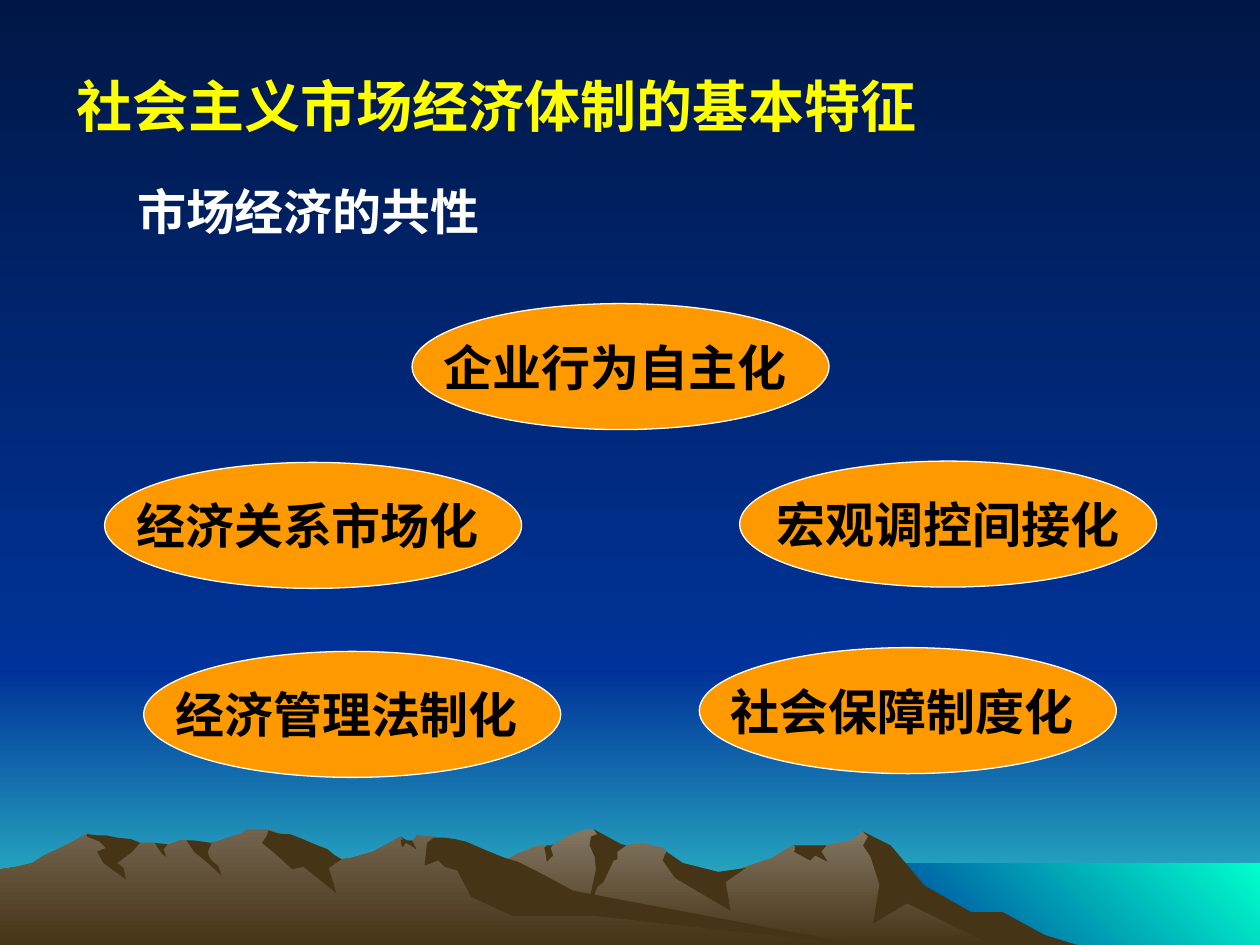
from pptx import Presentation, util as u
from pptx.dml.color import RGBColor
from pptx.enum import shapes, text
from pptx.oxml.ns import qn
from lxml import etree

NIGHT, BLUE, TEAL, MINT = "001746", "003399", "33CCCC", "00FFCC"
EARTH, ROCK, FAR_ROCK = "463416", "72644E", "837763"
YELLOW, WHITE, ORANGE, BLACK = "FFFF00", "FFFFFF", "FF9900", "000000"
LATIN, HAN = "Times New Roman", "Noto Sans CJK SC"

FAR_RANGE = [
    (8.02, 7.4), (7.78, 7.27), (7.64, 7.23), (7.23, 6.98), (7.02, 6.71), (6.85, 6.6),
    (6.76, 6.67), (6.56, 6.71), (6.29, 6.71), (6.13, 6.81), (5.66, 6.97), (5.36, 6.9),
    (5.29, 6.76), (5.26, 6.73), (5.09, 6.69), (4.97, 6.71), (4.86, 6.73), (4.74, 6.61),
    (4.71, 6.58), (4.65, 6.58), (4.5, 6.64), (4.48, 6.65), (4.44, 6.68), (4.38, 6.71),
    (4.3, 6.71), (4.24, 6.72), (4.18, 6.75), (4.12, 6.77), (4.05, 6.81), (3.99, 6.83),
    (3.94, 6.85), (3.55, 6.98), (3.27, 7.09), (2.77, 7.39), (2.58, 7.51), (8.21, 7.51)]
NEAR_RANGE = [
    (6.9, 7.51), (6.67, 7.48), (4.32, 7.12), (3.54, 6.65), (3.31, 6.63), (3.27, 6.68),
    (3.23, 6.68), (3.18, 6.64), (2.96, 6.76), (2.79, 6.81), (2.71, 6.82), (2.6, 6.76),
    (2.36, 6.81), (2.23, 6.63), (2.19, 6.6), (2.12, 6.58), (1.96, 6.58), (1.91, 6.62),
    (1.86, 6.63), (1.78, 6.66), (1.68, 6.69), (1.6, 6.71), (1.48, 6.67), (1.43, 6.67),
    (1.32, 6.71), (1.28, 6.71), (1.23, 6.69), (1.11, 6.69), (0.94, 6.71), (0.68, 6.62),
    (0.56, 6.69), (0.5, 6.72), (0.46, 6.74), (0.35, 6.79), (0.26, 6.85), (0.14, 6.88),
    (0, 6.9), (0, 7.51)]
FAR_SHADOWS = [
    [(7.96, 7.24), (7.71, 7.24), (7.34, 7.03), (7.07, 6.71), (6.85, 6.6), (6.89, 6.64),
     (6.85, 6.71), (6.91, 6.8), (6.98, 7.02), (6.93, 7.33), (7.2, 7.17), (7.92, 7.52),
     (8.58, 7.51), (8.29, 7.42)],
    [(4.71, 6.58), (4.74, 6.62), (4.69, 6.64), (4.68, 6.71), (4.72, 6.8), (4.73, 6.9),
     (4.65, 7.27), (4.74, 7.04), (4.79, 7), (4.87, 6.83), (4.9, 6.82), (4.9, 6.76),
     (4.97, 6.71), (4.93, 6.7)],
    [(5.29, 6.76), (5.28, 6.78), (5.26, 6.83), (5.36, 6.97), (5.8, 7.23), (5.76, 7),
     (5.92, 6.89), (5.7, 6.92), (5.42, 6.85)],
    [(6.5, 6.71), (6.3, 6.71), (6.31, 6.72), (6.31, 6.75), (6.3, 6.76), (6.43, 6.83),
     (6.47, 6.79), (6.57, 6.84), (6.52, 6.76), (6.56, 6.71)],
    [(4.33, 6.77), (4.32, 6.73), (4.34, 6.71), (4.38, 6.71), (4.39, 6.7), (4.37, 6.73),
     (4.39, 6.79), (4.34, 6.84)],
]
NEAR_SHADOWS = [
    [(2.12, 6.63), (2.08, 6.69), (2.19, 6.78), (2.32, 6.9), (2.41, 6.88), (2.67, 7.09),
     (2.61, 6.89), (2.71, 6.82), (2.66, 6.79), (2.6, 6.74), (2.52, 6.71), (2.38, 6.65),
     (2.3, 6.62), (2.24, 6.62), (2.19, 6.61), (2.13, 6.59)],
    [(3.7, 6.68), (3.61, 6.66), (3.54, 6.65), (3.44, 6.65), (3.39, 6.69), (3.37, 6.87),
     (3.48, 6.83), (3.53, 6.88), (3.63, 6.91), (3.74, 7.12), (4.07, 7.27), (4.72, 7.27),
     (6.9, 7.51), (6.83, 7.5), (4.55, 7.07), (4.27, 6.92), (4.11, 6.84), (4.01, 6.81),
     (3.86, 6.75)],
    [(3.18, 6.67), (3.2, 6.66), (3.18, 6.64), (3.23, 6.67), (3.27, 6.67), (3.3, 6.73),
     (3.3, 6.74), (3.26, 6.71), (3.22, 6.69), (3.2, 6.72), (3.19, 6.72)],
    [(1.54, 6.67), (1.61, 6.68), (1.68, 6.69), (1.65, 6.76), (1.66, 6.8), (1.69, 6.84),
     (1.73, 6.87), (1.76, 6.95), (1.65, 6.85), (1.54, 6.76), (1.48, 6.67)],
    [(1.33, 6.7), (1.3, 6.74), (1.32, 6.8), (1.29, 6.78), (1.26, 6.74), (1.23, 6.69)],
    [(1.09, 6.68), (1.11, 6.69), (1.05, 6.76), (0.93, 6.85), (0.98, 6.89), (1, 6.98),
     (0.82, 6.85), (0.77, 6.76), (0.84, 6.73), (0.79, 6.68), (0.69, 6.64), (0.69, 6.62),
     (0.77, 6.63), (0.84, 6.63), (0.94, 6.65), (1.04, 6.66)],
]
FEATURES = [
    ("企业行为自主化 ", 3.27, 2.41),
    ("宏观调控间接化", 5.87, 3.66),
    ("经济关系市场化 ", 0.83, 3.67),
    ("社会保障制度化 ", 5.55, 5.14),
    ("经济管理法制化 ", 1.14, 5.17),
]


def color(value):
    return RGBColor.from_string(value)


class Scene:
    """Holds the slide and the shared style of its landscape and labels."""

    def __init__(self, slide):
        self.slide = slide
        self.label = {"size": u.Pt(28), "bold": True, "name": LATIN}

    def paint(self, fill, colors, angle=270):
        if len(colors) == 1:
            fill.solid()
            fill.fore_color.rgb = color(colors[0])
            return
        fill.gradient()
        fill.gradient_angle = angle
        for stop, value in zip(fill.gradient_stops, colors):
            stop.color.rgb = color(value)

    def backdrop(self, *colors):
        self.paint(self.slide.background.fill, colors)

    def preset(self, kind, box):
        shape = self.slide.shapes.add_shape(kind, *map(u.Inches, box))
        shape.shadow.inherit = False
        return shape

    def band(self, box, *colors, angle=270):
        area = self.preset(shapes.MSO_SHAPE.RECTANGLE, box)
        self.paint(area.fill, colors, angle)
        area.line.fill.background()

    def outline(self, points, *colors):
        start, *rest = [(u.Inches(x), u.Inches(y)) for x, y in points]
        builder = self.slide.shapes.build_freeform(*start)
        builder.add_line_segments(rest, close=True)
        land = builder.convert_to_shape()
        land.shadow.inherit = False
        self.paint(land.fill, colors)
        land.line.fill.background()

    def add_words(self, frame, words, ink, **changes):
        run = frame.paragraphs[0].add_run()
        run.text = words
        for key, value in {**self.label, **changes}.items():
            setattr(run.font, key, value)
        run.font.color.rgb = color(ink)
        etree.SubElement(run.font._element, qn("a:ea"), typeface=HAN)

    def heading(self, words, box, ink, wrap, **changes):
        frame = self.slide.shapes.add_textbox(*map(u.Inches, box)).text_frame
        frame.word_wrap = wrap
        self.add_words(frame, words, ink, **changes)

    def feature(self, words, left, top):
        oval = self.preset(shapes.MSO_SHAPE.OVAL, (left, top, 3.31, 1))
        self.paint(oval.fill, [ORANGE])
        oval.line.color.rgb = color(WHITE)
        oval.line.width = u.Pt(0.75)
        frame = oval.text_frame
        frame.word_wrap = False
        frame.vertical_anchor = text.MSO_ANCHOR.MIDDLE
        frame.paragraphs[0].alignment = text.PP_ALIGN.CENTER
        self.add_words(frame, words, BLACK)


def main():
    deck = Presentation()
    deck.slide_width, deck.slide_height = u.Inches(10), u.Inches(7.5)
    scene = Scene(deck.slides.add_slide(deck.slide_layouts[6]))
    scene.backdrop(NIGHT, BLUE)
    scene.band((0, 5.33, 10, 2.17), BLUE, TEAL)
    scene.band((0, 0, 10, 5.33), NIGHT, BLUE)
    scene.band((6.83, 6.85, 3.17, 0.67), MINT, BLUE, angle=225)
    for ridge, top, shadows in ((FAR_RANGE, FAR_ROCK, FAR_SHADOWS),
                                (NEAR_RANGE, ROCK, NEAR_SHADOWS)):
        scene.outline(ridge, top, EARTH)
        for shadow in shadows:
            scene.outline(shadow, EARTH)
    scene.heading("社会主义市场经济体制的基本特征", (0.51, 0.52, 8.98, 0.64),
                  YELLOW, True, size=u.Pt(32))
    scene.heading("市场经济的共性", (0.99, 1.39, 2.92, 0.57), WHITE, False, name=HAN)
    for feature in FEATURES:
        scene.feature(*feature)
    deck.save("out.pptx")


if __name__ == "__main__":
    main()
